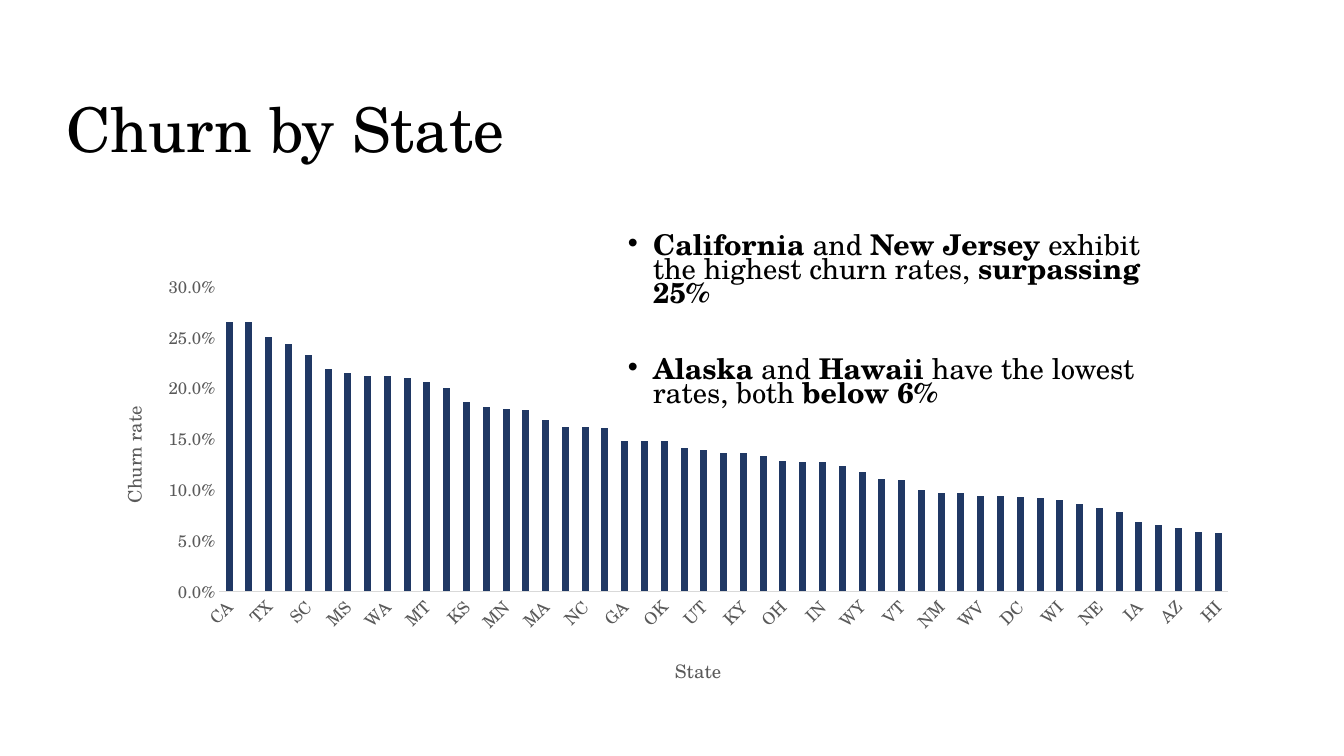
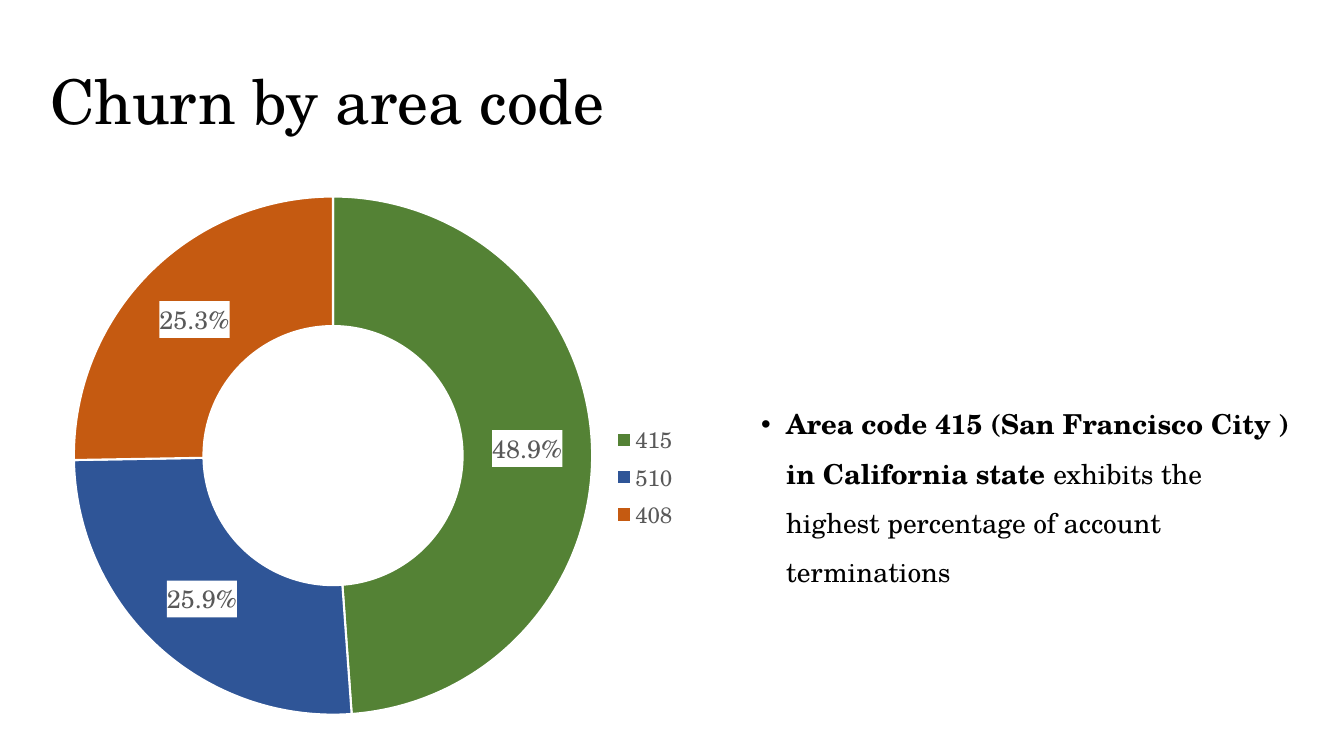
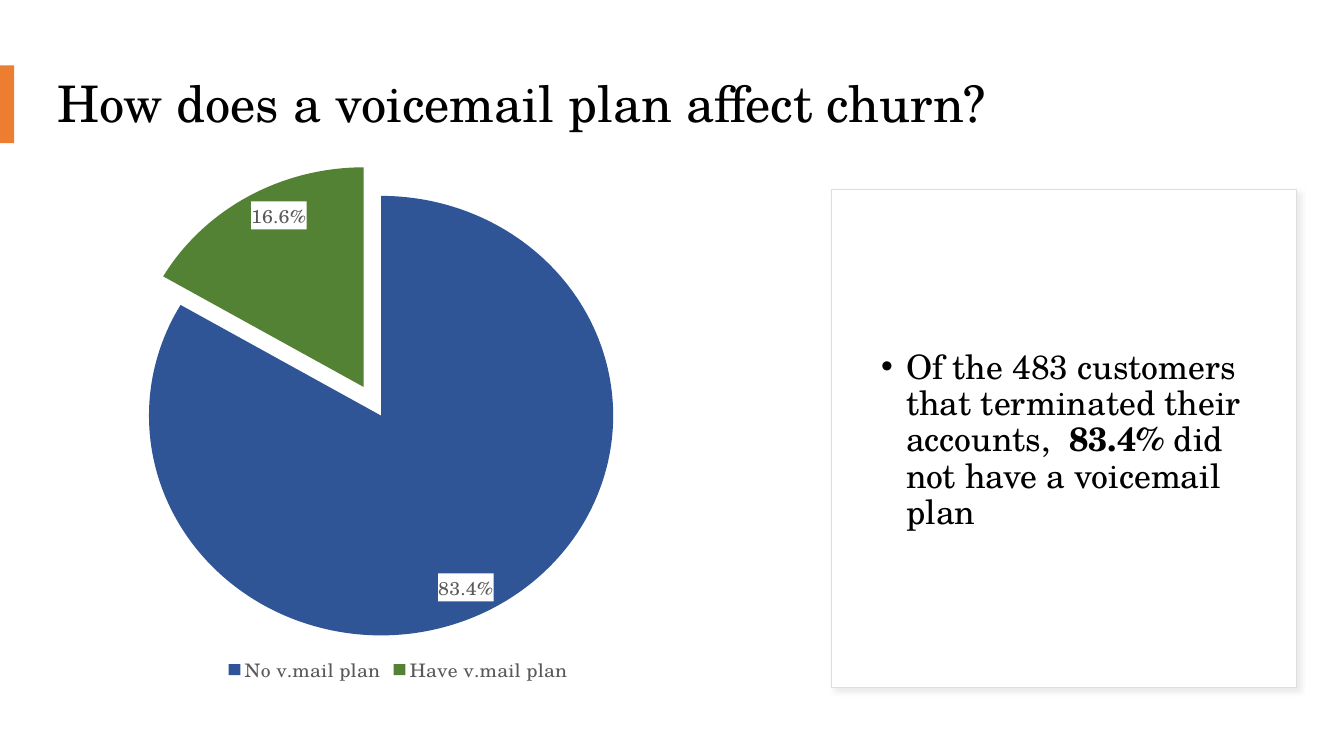
"""Build three slides on customer churn: by state, by area code and by voicemail plan."""
from dataclasses import dataclass

from lxml import etree
from pptx import Presentation
from pptx.chart.data import CategoryChartData
from pptx.dml.color import RGBColor
from pptx.enum.chart import XL_CHART_TYPE, XL_LABEL_POSITION, XL_LEGEND_POSITION, XL_TICK_MARK
from pptx.enum.shapes import MSO_SHAPE
from pptx.enum.text import MSO_ANCHOR
from pptx.oxml import parse_xml
from pptx.oxml.ns import nsdecls, qn
from pptx.util import Emu, Pt

PX = 9144


@dataclass(frozen=True)
class Theme:
    font: str = "TeX Gyre Schola"
    ink: str = "000000"
    muted: str = "595959"
    paper: str = "FFFFFF"
    rule: str = "D9D9D9"
    card_edge: str = "DEDEDE"
    accent: str = "ED7D31"
    navy: str = "203864"
    blue: str = "2F5597"
    green: str = "548235"
    orange: str = "C55A11"
    title: float = 44
    long_title: float = 36
    axis_title: float = 13.3
    tick: float = 12


THEME = Theme()

STATES = (
    "CA NJ TX MD SC MI MS NV WA ME MT AR KS NY MN PA MA CT NC NH GA DE OK OR UT CO "
    "KY SD OH FL IN ID WY MO VT AL NM ND WV TN DC RI WI IL NE LA IA VA AZ AK HI"
).split()
STATE_RATES = [
    0.265, 0.265, 0.25, 0.243, 0.233, 0.219, 0.215, 0.212, 0.212, 0.21, 0.206, 0.2, 0.186,
    0.181, 0.179, 0.178, 0.169, 0.162, 0.162, 0.161, 0.148, 0.148, 0.148, 0.141, 0.139, 0.136,
    0.136, 0.133, 0.128, 0.127, 0.127, 0.123, 0.117, 0.111, 0.11, 0.1, 0.097, 0.097, 0.094,
    0.094, 0.093, 0.092, 0.09, 0.086, 0.082, 0.078, 0.068, 0.065, 0.062, 0.058, 0.057,
]
STATE_FINDINGS = [
    [("California", True), (" and ", False), ("New Jersey ", True),
     ("exhibit the highest churn rates, ", False), ("surpassing 25%", True)],
    [("Alaska", True), (" and ", False), ("Hawaii", True),
     (" have the lowest rates, both ", False), ("below 6%", True)],
]
AREA_SHARES = [("415", 0.489, THEME.green), ("510", 0.259, THEME.blue), ("408", 0.253, THEME.orange)]
AREA_FINDINGS = [
    [("Area code 415 (San Francisco City ) in California state ", True),
     ("exhibits the highest percentage of account terminations", False)],
]
PLAN_SHARES = [("No v.mail plan", 0.834, THEME.blue), ("Have v.mail plan", 0.166, THEME.green)]
PLAN_FINDINGS = [
    [("Of the 483 customers that terminated their accounts,  ", False), ("83.4%", True),
     (" did not have a voicemail plan", False)],
]


def rgb(color):
    """Turn a hex string into a colour."""
    return RGBColor.from_string(color)


def place(box):
    """Turn a box in px into EMU."""
    return [Emu(length * PX) for length in box]


def style(font, size, color, bold=False):
    """Set the theme font with a size, colour and weight."""
    font.name, font.size, font.bold = THEME.font, Pt(size), bold
    font.color.rgb = rgb(color)


def add_text(slide, box, paragraphs, size, anchor, spacing, before=(), after=0, indent=None):
    """Add a text box; an indent in px makes its paragraphs bullets."""
    frame = slide.shapes.add_textbox(*place(box)).text_frame
    frame.word_wrap, frame.vertical_anchor = True, anchor
    for index, runs in enumerate(paragraphs):
        paragraph = frame.paragraphs[0] if index == 0 else frame.add_paragraph()
        paragraph.line_spacing = spacing
        paragraph.space_before = Pt(before[index] if before else 0)
        paragraph.space_after = Pt(after)
        for words, bold in runs:
            run = paragraph.add_run()
            run.text = words
            style(run.font, size, THEME.ink, bold)
        if indent:
            properties = paragraph._p.get_or_add_pPr()
            properties.set("marL", str(indent * PX))
            properties.set("indent", str(-25 * PX))
            etree.SubElement(properties, qn("a:buFont")).set("typeface", "Arial")
            etree.SubElement(properties, qn("a:buChar")).set("char", "•")


def add_title(slide, words, box, anchor, size=THEME.title):
    """Add a slide title."""
    add_text(slide, box, [[(words, False)]], size, anchor, 0.9)


def add_block(slide, box, fill, edge=None):
    """Add a flat rectangle."""
    block = slide.shapes.add_shape(MSO_SHAPE.RECTANGLE, *place(box))
    block.shadow.inherit = False
    block.fill.solid()
    block.fill.fore_color.rgb = rgb(fill)
    if edge:
        block.line.color.rgb = rgb(edge)
        block.line.width = Pt(0.75)
    else:
        block.line.fill.background()
    return block


def add_chart(slide, kind, box, categories, values):
    """Add a one-series chart in the theme font."""
    data = CategoryChartData()
    data.categories = categories
    data.add_series("Series 1", values)
    chart = slide.shapes.add_chart(kind, *place(box), data).chart
    chart.has_title = chart.has_legend = False
    style(chart.font, 10, THEME.ink)
    return chart


def set_layout(parent, index, target=None, **fractions):
    """Place a chart part by fractions of the chart area."""
    for old in parent.findall(qn("c:layout")):
        parent.remove(old)
    layout = parse_xml(f"<c:layout {nsdecls('c')}><c:manualLayout/></c:layout>")
    settings = [("layoutTarget", target)] if target else []
    settings += [(f"{axis}Mode", "edge") for axis in "xy"]
    settings += fractions.items()
    for tag, value in settings:
        etree.SubElement(layout[0], qn(f"c:{tag}")).set("val", str(value))
    parent.insert(index, layout)


def plot_area(chart):
    """Return the plot area of a chart."""
    return chart._chartSpace.chart.plotArea


def style_axis(axis, words, rotation, x, y):
    """Style an axis and place its title."""
    axis.has_major_gridlines = False
    axis.major_tick_mark = axis.minor_tick_mark = XL_TICK_MARK.NONE
    style(axis.tick_labels.font, THEME.tick, THEME.muted)
    frame = axis.axis_title.text_frame
    run = frame.paragraphs[0].add_run()
    run.text = words
    style(run.font, THEME.axis_title, THEME.muted)
    frame._txBody.bodyPr.set("rot", str(rotation))
    set_layout(axis.axis_title._element, 1, x=x, y=y)


def add_share_chart(slide, kind, box, shares, plot, label_size, legend_at, legend_size):
    """Add a pie or doughnut with white label boxes and a legend."""
    names, values, colors = zip(*shares)
    chart = add_chart(slide, kind, box, names, values)
    set_layout(plot_area(chart), 0, "inner", **dict(zip("xywh", plot)))
    chart.plots[0].vary_by_categories = True
    series = chart.plots[0].series[0]
    for index, color in enumerate(colors):
        fill = series.points[index].format.fill
        fill.solid()
        fill.fore_color.rgb = rgb(color)
    labels = series.data_labels
    labels.show_value = True
    labels.number_format, labels.number_format_is_linked = "0.0%", False
    style(labels.font, label_size, THEME.muted)
    labels._element.find(qn("c:numFmt")).addnext(parse_xml(
        f"<c:spPr {nsdecls('c', 'a')}><a:solidFill><a:srgbClr val='{THEME.paper}'/>"
        "</a:solidFill></c:spPr>"))
    chart.has_legend = True
    chart.legend.position = legend_at
    chart.legend.include_in_layout = False
    style(chart.legend.font, legend_size, THEME.muted)
    return chart


def build_states(slide):
    """Build the churn by state slide."""
    add_title(slide, "Churn by State", (56, 40, 692, 183), MSO_ANCHOR.MIDDLE)
    chart = add_chart(slide, XL_CHART_TYPE.COLUMN_CLUSTERED, (91, 263, 1150, 426),
                      STATES, STATE_RATES)
    set_layout(plot_area(chart), 0, "inner", x=0.11, y=0.05, w=0.87, h=0.71)
    columns = chart.plots[0]
    columns.gap_width, columns.vary_by_categories = 182, False
    fill = columns.series[0].format.fill
    fill.solid()
    fill.fore_color.rgb = rgb(THEME.navy)

    states, rates = chart.category_axis, chart.value_axis
    style_axis(states, "State", 0, 0.5, 0.9)
    states.format.line.color.rgb = rgb(THEME.rule)
    states.format.line.width = Pt(0.75)
    states._element.txPr.bodyPr.set("rot", "-2700000")
    style_axis(rates, "Churn rate", -5400000, 0.02, 0.32)
    rates.format.line.fill.background()
    rates.minimum_scale, rates.maximum_scale, rates.major_unit = 0, 0.3, 0.05
    rates.tick_labels.number_format = "0.0%"
    rates.tick_labels.number_format_is_linked = False
    add_text(slide, (613, 228, 564, 183), STATE_FINDINGS, 20.4, MSO_ANCHOR.MIDDLE, 0.7,
             before=(0, 37), indent=25)


def build_areas(slide):
    """Build the churn by area code slide."""
    add_title(slide, "Churn by area code", (40, 44, 733, 98), MSO_ANCHOR.BOTTOM)
    add_text(slide, (745, 383, 557, 185), AREA_FINDINGS, 19.6, MSO_ANCHOR.TOP, 1.5,
             before=(10,), indent=25)
    chart = add_share_chart(slide, XL_CHART_TYPE.DOUGHNUT, (-31, 142, 745, 608), AREA_SHARES,
                            (0.14, 0.02, 0.69, 0.98), 18, XL_LEGEND_POSITION.RIGHT, 16)
    set_layout(chart.legend._element, 1, x=0.85, y=0.45, w=0.1, h=0.19)
    series = chart.plots[0].series[0]
    for index in range(len(AREA_SHARES)):
        edge = series.points[index].format.line
        edge.color.rgb = rgb(THEME.paper)
        edge.width = Pt(1.5)


def build_plans(slide):
    """Build the voicemail plan slide."""
    add_title(slide, "How does a voicemail plan affect churn?", (47, 45, 1225, 121),
              MSO_ANCHOR.MIDDLE, THEME.long_title)
    add_block(slide, (0, 65, 14, 77), THEME.accent)
    card = add_block(slide, (825, 188, 461, 494), THEME.paper, THEME.card_edge)
    card._element.spPr.find(qn("a:effectLst")).append(parse_xml(
        f"<a:outerShdw {nsdecls('a')} blurRad='50800' dist='38100' dir='2700000'>"
        f"<a:srgbClr val='{THEME.rule}'><a:alpha val='50000'/></a:srgbClr></a:outerShdw>"))
    add_text(slide, (851, 221, 395, 433), PLAN_FINDINGS, 24, MSO_ANCHOR.MIDDLE, 0.9,
             after=6, indent=38)
    chart = add_share_chart(slide, XL_CHART_TYPE.PIE, (26, 166, 738, 516), PLAN_SHARES,
                            (0.165, 0.002, 0.624, 0.893), 14, XL_LEGEND_POSITION.BOTTOM, 14)
    series = chart.plots[0].series[0]
    series.data_labels.position = XL_LABEL_POSITION.INSIDE_END
    plan_slice = series._element.findall(qn("c:dPt"))[1]
    plan_slice.find(qn("c:spPr")).addprevious(
        parse_xml(f"<c:explosion {nsdecls('c')} val='15'/>"))


def main():
    """Build and save the deck."""
    deck = Presentation()
    deck.slide_width, deck.slide_height = place((1333, 750))
    for build in (build_states, build_areas, build_plans):
        build(deck.slides.add_slide(deck.slide_layouts[6]))
    deck.save("out.pptx")


if __name__ == "__main__":
    main()
